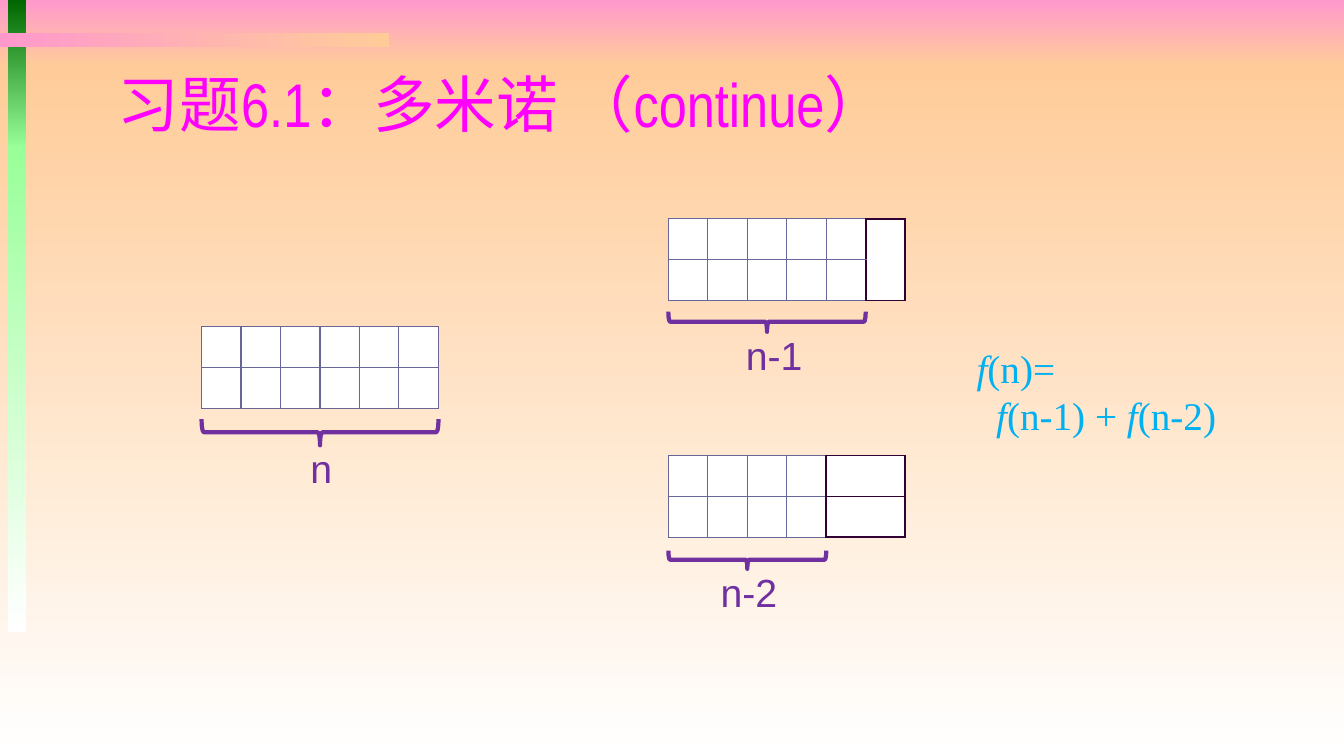
from dataclasses import dataclass

from lxml import etree
from pptx import Presentation
from pptx.dml.color import RGBColor
from pptx.enum.shapes import MSO_SHAPE
from pptx.enum.text import MSO_ANCHOR, MSO_AUTO_SIZE, PP_ALIGN
from pptx.oxml.ns import qn
from pptx.util import Pt

RECTANGLE, LEFT_BRACE = MSO_SHAPE.RECTANGLE, MSO_SHAPE.LEFT_BRACE
MIDDLE, LEFT = MSO_ANCHOR.MIDDLE, PP_ALIGN.LEFT
FIXED, GROW = MSO_AUTO_SIZE.NONE, MSO_AUTO_SIZE.SHAPE_TO_FIT_TEXT

ROWS, COLUMNS = 2, 6
CELL_WIDTH, CELL_HEIGHT = 28.2, 29.25
DOWNWARD, RIGHTWARD = 270, 0


@dataclass(frozen=True)
class Theme:
    pink: str = "FF99CC"
    peach: str = "FFCC99"
    dark_green: str = "006600"
    light_green: str = "99FF99"
    white: str = "FFFFFF"
    title: str = "FF00FF"
    grid: str = "666699"
    domino: str = "330033"
    purple: str = "7030A0"
    formula: str = "00B0F0"
    title_font: str = "Arial Narrow"
    label_font: str = "Arial"
    formula_font: str = "Times New Roman"
    title_size: float = 44
    text_size: float = 28
    grid_line: float = 1
    domino_line: float = 1.5
    brace_line: float = 3


THEME = Theme()


@dataclass(frozen=True)
class Board:
    """dominoes are (row, column, rows, columns); label_at is relative to the board."""
    left: float
    top: float
    free_columns: int
    dominoes: tuple
    brace_gap: float
    brace_depth: float
    label: str
    label_at: tuple


BOARDS = (
    Board(144, 233.3, 6, (), 7.6, 18.7, "n", (70.6, 80.6)),
    Board(477.4, 156.2, 5, ((0, 5, 2, 1),), 7.9, 14.4, "n-1", (48.2, 77.1)),
    Board(477.4, 325.4, 4, ((0, 4, 1, 2), (1, 4, 1, 2)), 9.4, 13, "n-2",
          (30.2, 77.1)),
)


def add_run(paragraph, text, font, size, color, italic=False):
    run = paragraph.add_run()
    run.text = text
    run.font.name = font
    run.font.size = Pt(size)
    run.font.italic = italic
    run.font.color.rgb = RGBColor.from_string(color)


def add_text_frame(slide, left, top, width, height):
    box = slide.shapes.add_textbox(Pt(left), Pt(top), Pt(width), Pt(height))
    box.text_frame.word_wrap = True
    box.text_frame.auto_size = GROW
    return box.text_frame


def add_backdrop(slide, width, height):
    """Lays the gradient bands behind everything else."""
    split, stripe_split = 48, 106
    bands = (
        (0, 0, width, split, THEME.pink, THEME.peach, DOWNWARD),
        (0, split, width, height - split, THEME.peach, THEME.white, DOWNWARD),
        (5.8, 0, 13, stripe_split, THEME.dark_green, THEME.light_green, DOWNWARD),
        (5.8, stripe_split, 13, 345.4, THEME.light_green, THEME.white, DOWNWARD),
        (0, 23.8, 278, 10, THEME.pink, THEME.peach, RIGHTWARD),
    )
    first_layer = 2
    for layer, (*box, start, end, angle) in enumerate(bands, first_layer):
        band = slide.shapes.add_shape(RECTANGLE, *map(Pt, box))
        band.shadow.inherit = False
        band.line.fill.background()
        band.fill.gradient()
        band.fill.gradient_angle = angle
        for stop, color in zip(band.fill.gradient_stops, (start, end)):
            stop.color.rgb = RGBColor.from_string(color)
        slide.shapes._spTree.insert(layer, band._element)


def fill_title(slide, left, top, width, height):
    title = slide.shapes.title
    title.left, title.top = Pt(left), Pt(top)
    title.width, title.height = Pt(width), Pt(height)
    frame = title.text_frame
    frame.auto_size = FIXED
    frame.vertical_anchor = MIDDLE
    frame.paragraphs[0].alignment = LEFT
    add_run(frame.paragraphs[0], "习题6.1：多米诺 （continue）",
            THEME.title_font, THEME.title_size, THEME.title)


def set_border(cell, side, color, width):
    """Draws one cell edge, or hides it when color is None."""
    line = etree.SubElement(cell._tc.get_or_add_tcPr(), qn(f"a:ln{side}"))
    line.set("w", str(Pt(width)))
    if color is None:
        etree.SubElement(line, qn("a:noFill"))
    else:
        fill = etree.SubElement(line, qn("a:solidFill"))
        etree.SubElement(fill, qn("a:srgbClr")).set("val", color)


def edge_style(owner, neighbour):
    if owner is None and neighbour is None:
        return THEME.grid, THEME.grid_line
    if owner == neighbour:
        return None, THEME.grid_line
    return THEME.domino, THEME.domino_line


def add_grid(slide, board):
    frame = slide.shapes.add_table(
        ROWS, COLUMNS, Pt(board.left), Pt(board.top),
        Pt(COLUMNS * CELL_WIDTH), Pt(ROWS * CELL_HEIGHT))
    table = frame.table
    table.first_row = table.horz_banding = False
    for column in table.columns:
        column.width = Pt(CELL_WIDTH)
    for row in table.rows:
        row.height = Pt(CELL_HEIGHT)
    owners = {(r, c): domino for domino in board.dominoes
              for r in range(domino[0], domino[0] + domino[2])
              for c in range(domino[1], domino[1] + domino[3])}
    sides = {"L": (0, -1), "R": (0, 1), "T": (-1, 0), "B": (1, 0)}
    for r in range(ROWS):
        for c in range(COLUMNS):
            cell = table.cell(r, c)
            cell.margin_top = cell.margin_bottom = 0
            for side, (down, across) in sides.items():
                style = edge_style(owners.get((r, c)),
                                   owners.get((r + down, c + across)))
                set_border(cell, side, *style)
            cell.fill.solid()
            cell.fill.fore_color.rgb = RGBColor.from_string(THEME.white)


def add_brace(slide, left, top, span, depth):
    """Places a brace that opens upwards over the given span."""
    brace = slide.shapes.add_shape(
        LEFT_BRACE, Pt(left + (span - depth) / 2), Pt(top + (depth - span) / 2),
        Pt(depth), Pt(span))
    brace.rotation = 270
    brace.shadow.inherit = False
    brace.fill.background()
    brace.line.color.rgb = RGBColor.from_string(THEME.purple)
    brace.line.width = Pt(THEME.brace_line)


def add_board(slide, board):
    add_grid(slide, board)
    add_brace(slide, board.left, board.top + ROWS * CELL_HEIGHT + board.brace_gap,
              board.free_columns * CELL_WIDTH, board.brace_depth)
    across, down = board.label_at
    label = add_text_frame(slide, board.left + across, board.top + down, 58.3, 41)
    add_run(label.paragraphs[0], board.label,
            THEME.label_font, THEME.text_size, THEME.purple)


def add_formula(slide, left, top, width, height):
    frame = add_text_frame(slide, left, top, width, height)
    definition, recurrence = frame.paragraphs[0], frame.add_paragraph()
    recurrence._p.get_or_add_pPr().set("marL", str(Pt(14)))
    for line, argument in ((definition, "(n)="), (recurrence, "(n-1) + "),
                           (recurrence, "(n-2)")):
        for text, italic in (("f", True), (argument, False)):
            add_run(line, text, THEME.formula_font, THEME.text_size,
                    THEME.formula, italic)


def main():
    deck = Presentation()
    deck.slide_width, deck.slide_height = Pt(960), Pt(540)
    title_only = deck.slide_layouts[5]
    slide = deck.slides.add_slide(title_only)
    add_backdrop(slide, 960, 540)
    fill_title(slide, 77, 41, 816, 65)
    for board in BOARDS:
        add_board(slide, board)
    add_formula(slide, 690.5, 242.6, 232.6, 75)
    deck.save("out.pptx")


if __name__ == "__main__":
    main()
